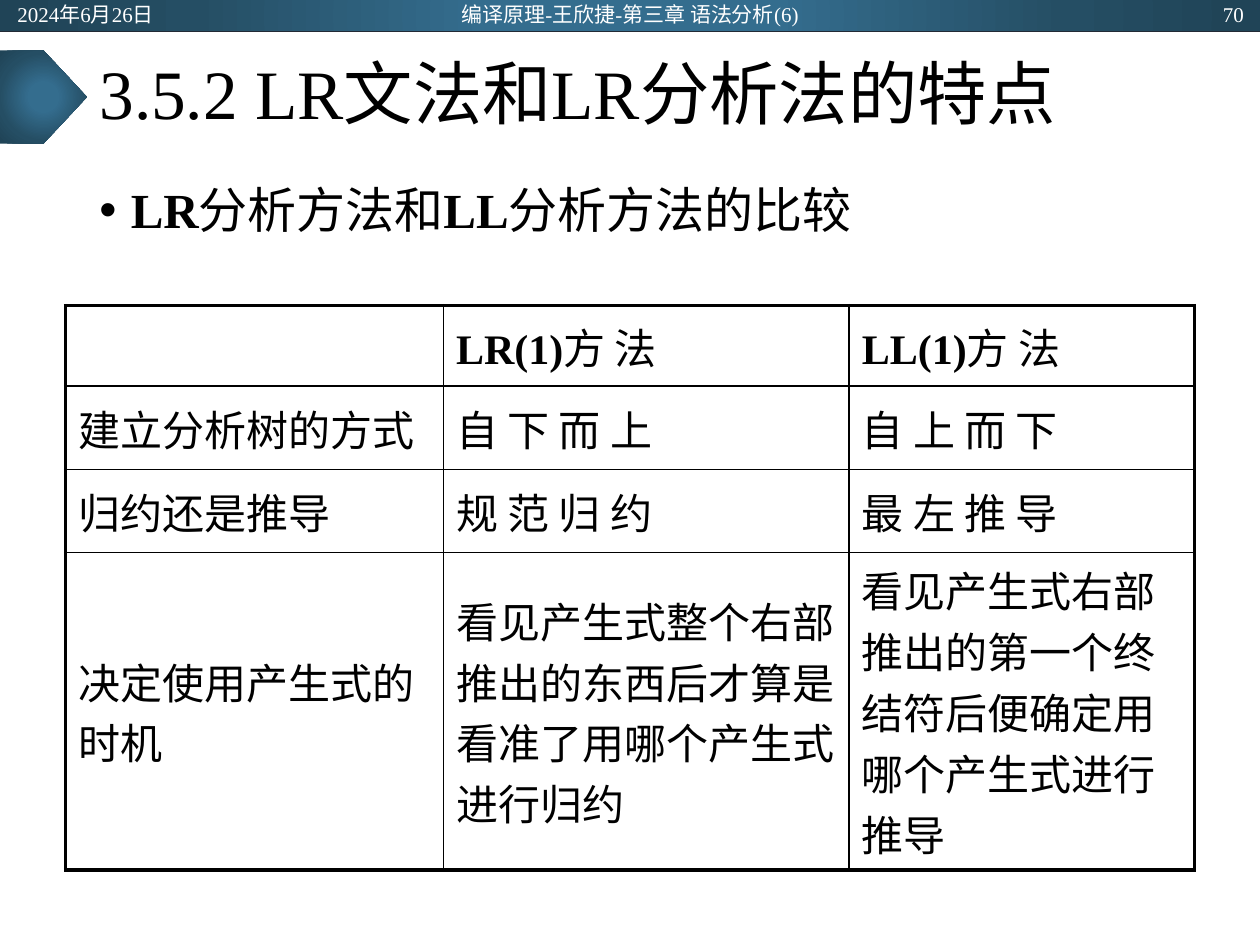
from lxml import etree
from pptx import Presentation, util as u
from pptx.dml.color import RGBColor
from pptx.enum import shapes, text
from pptx.oxml.ns import qn

Pt = u.Pt
COLORS = {"black": "000000", "white": "FFFFFF", "rule": "222A35"}
GRADIENT = [(0, "346D8E"), (23, "346D8E"), (69, "254E64"), (97, "204457")]
LATIN, CJK = "Times New Roman", "Noto Sans CJK SC"
LEFT, CENTER, RIGHT = text.PP_ALIGN.LEFT, text.PP_ALIGN.CENTER, text.PP_ALIGN.RIGHT
MIDDLE, TOP = text.MSO_ANCHOR.MIDDLE, text.MSO_ANCHOR.TOP

# Content: a run is (text, bold)
HEADER = [  # text, left, width, alignment
    ("2024年6月26日", 2.88, 162, LEFT),
    ("编译原理-王欣捷-第三章 语法分析(6)", 238.5, 243, CENTER),
    ("70", 555.84, 162, RIGHT),
]
TITLE = [("3.5.2 LR文法和LR分析法的特点", False)]
BULLET = [("LR", True), ("分析方法和", False), ("LL", True), ("分析方法的比较", False)]
ROWS = [
    [[], [("LR(1)", True), ("方 法", False)], [("LL(1)", True), ("方 法", False)]],
    [[("建立分析树的方式", False)], [("自 下 而 上", False)], [("自 上 而 下", False)]],
    [[("归约还是推导", False)], [("规 范 归 约", False)], [("最 左 推 导", False)]],
    [[("决定使用产生式的时机", False)],
     [("看见产生式整个右部推出的东西后才算是看准了用哪个产生式进行归约", False)],
     [("看见产生式右部推出的第一个终结符后便确定用哪个产生式进行推导", False)]],
]
COL_WIDTHS = [216, 231.84, 197.28]
ROW_HEIGHTS = [46.08, 47.52, 47.52, 181.5]  # the last holds five lines
THICK, THIN = 2.25, 1


def add_runs(p, runs, size, color="black"):
    for words, bold in runs:
        r = p.add_run()
        r.text = words
        r.font.size, r.font.bold, r.font.name = Pt(size), bold, LATIN
        r.font.color.rgb = RGBColor.from_string(COLORS[color])
        etree.SubElement(r._r.get_or_add_rPr(), qn("a:ea"), typeface=CJK)


def add_text(slide, box, runs, size, color="black", align=LEFT, anchor=MIDDLE):
    tf = slide.shapes.add_textbox(*map(Pt, box)).text_frame
    tf.word_wrap, tf.vertical_anchor = True, anchor
    p = tf.paragraphs[0]
    p.alignment = align
    add_runs(p, runs, size, color)
    return p


def add_gradient_shape(slide, kind, box):
    sp = slide.shapes.add_shape(kind, *map(Pt, box))
    sp.shadow.inherit = False
    sp.line.fill.background()
    sp.fill.gradient()
    grad = sp._element.spPr.find(qn("a:gradFill"))
    for child in list(grad):
        grad.remove(child)
    stops = etree.SubElement(grad, qn("a:gsLst"))
    for pos, color in GRADIENT:
        gs = etree.SubElement(stops, qn("a:gs"), pos=str(pos * 1000))
        etree.SubElement(gs, qn("a:srgbClr"), val=color)
    focus = etree.SubElement(grad, qn("a:path"), path="circle")
    etree.SubElement(focus, qn("a:fillToRect"), l="50000", t="50000", r="50000", b="50000")


def set_border(cell, side, width):
    ln = etree.SubElement(cell._tc.get_or_add_tcPr(), qn("a:" + side), w=str(Pt(width)))
    fill = etree.SubElement(ln, qn("a:solidFill"))
    etree.SubElement(fill, qn("a:srgbClr"), val=COLORS["black"])


def add_comparison_table(slide):
    n_rows, n_cols = len(ROWS), len(COL_WIDTHS)
    frame = slide.shapes.add_table(n_rows, n_cols, Pt(37.44), Pt(174.6),
                                   Pt(sum(COL_WIDTHS)), Pt(sum(ROW_HEIGHTS)))
    table = frame.table
    table.first_row = table.horz_banding = False
    for column, width in zip(table.columns, COL_WIDTHS):
        column.width = Pt(width)
    for i, (row, height) in enumerate(zip(ROWS, ROW_HEIGHTS)):
        table.rows[i].height = Pt(height)
        for j, runs in enumerate(row):
            cell = table.cell(i, j)
            cell.vertical_anchor = MIDDLE
            p = cell.text_frame.paragraphs[0]
            p.space_before = Pt(4.8)
            add_runs(p, runs, 24)
            # Thick outside, thin inside
            outer = {"lnL": j == 0, "lnR": j == n_cols - 1,
                     "lnT": i == 0, "lnB": i == n_rows - 1}
            for side, is_outer in outer.items():
                set_border(cell, side, THICK if is_outer else THIN)
            cell.fill.background()


def main():
    prs = Presentation()
    prs.slide_width, prs.slide_height = Pt(720), Pt(540)
    slide = prs.slides.add_slide(prs.slide_layouts[6])

    # Header band, its rule and the title marker
    add_gradient_shape(slide, shapes.MSO_SHAPE.RECTANGLE, (0, 0, 720, 18))
    rule = slide.shapes.add_connector(shapes.MSO_CONNECTOR.STRAIGHT, 0, Pt(18), Pt(720), Pt(18))
    rule.line.width = Pt(0.5)
    rule.line.color.rgb = RGBColor.from_string(COLORS["rule"])
    etree.SubElement(rule._element.spPr, qn("a:effectLst"))
    add_gradient_shape(slide, shapes.MSO_SHAPE.PENTAGON, (0, 28.8, 49.68, 53.28))

    # Title
    p = add_text(slide, (49.68, 18, 620.64, 74.88), TITLE, 39.6)
    p.line_spacing = 0.9

    # Bullet line
    p = add_text(slide, (49.68, 102.8, 620.64, 50), BULLET, 28, anchor=TOP)
    p.line_spacing = 0.9
    pPr = p._p.get_or_add_pPr()
    pPr.set("marL", str(Pt(18)))
    pPr.set("indent", str(-Pt(18)))
    etree.SubElement(pPr, qn("a:buFont"), typeface="Arial")
    etree.SubElement(pPr, qn("a:buChar"), char="•")

    add_comparison_table(slide)

    # Header texts
    for words, left, width, align in HEADER:
        add_text(slide, (left, 0.72, width, 14.4), [(words, False)], 12, "white", align)

    prs.save("out.pptx")


if __name__ == "__main__":
    main()
